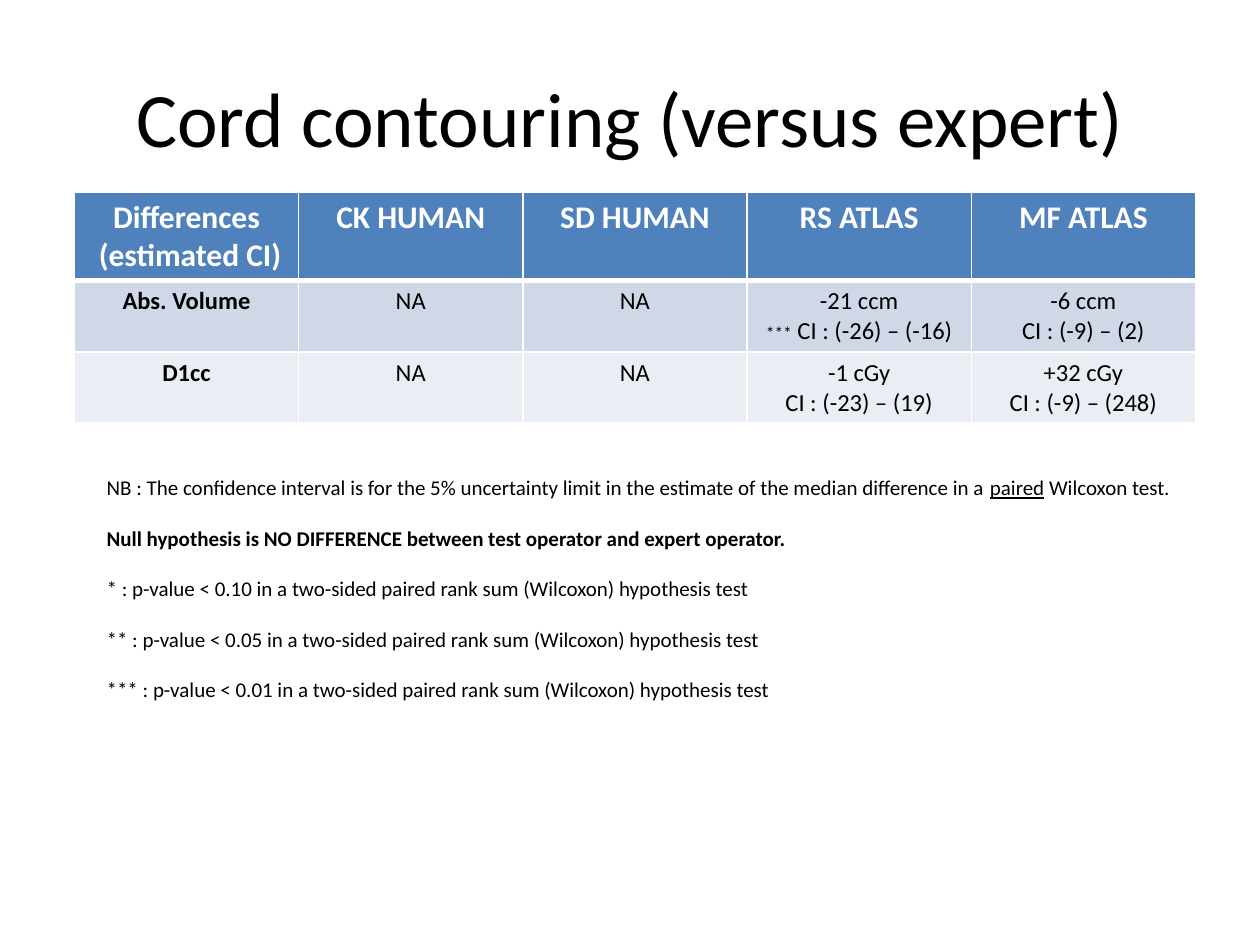
from dataclasses import dataclass

from lxml.etree import SubElement
from pptx import Presentation
from pptx.dml.color import RGBColor
from pptx.enum.text import MSO_ANCHOR, PP_ALIGN
from pptx.oxml.ns import qn
from pptx.util import Cm, Pt

COLORS = {
    "text": "000000",
    "white": "FFFFFF",
    "header": "4F81BD",
    "odd_row": "D0D8E8",
    "even_row": "E9EDF4",
}
FONT = "Calibri"


@dataclass(frozen=True)
class Run:
    text: str
    size: float | None = None
    underline: bool = False


@dataclass(frozen=True)
class TableRow:
    cells: tuple
    fill: str
    height: float
    size: float = 14
    color: str = "text"
    header: bool = False


@dataclass(frozen=True)
class Note:
    runs: tuple
    bold: bool = False


def write_paragraph(paragraph, text, *, size, color="text", bold=False,
                    align=PP_ALIGN.LEFT, space_after=0) -> None:
    paragraph.alignment = align
    paragraph.space_after = Pt(space_after)
    runs = (Run(text),) if isinstance(text, str) else text
    for item in runs:
        run = paragraph.add_run()
        run.text = item.text
        run.font.name = FONT
        run.font.size = Pt(item.size or size)
        run.font.bold = bold
        run.font.underline = item.underline
        run.font.color.rgb = RGBColor.from_string(COLORS[color])


def write_lines(text_frame, lines, **text_format) -> None:
    for index, line in enumerate(lines):
        paragraph = text_frame.add_paragraph() if index else text_frame.paragraphs[0]
        write_paragraph(paragraph, line, **text_format)


def add_text_box(slide, left: float, top: float, width: float, height: float):
    shape = slide.shapes.add_textbox(Cm(left), Cm(top), Cm(width), Cm(height))
    shape.text_frame.word_wrap = True
    return shape.text_frame


def set_borders(cell, widths: dict[str, float]) -> None:
    properties = cell._tc.get_or_add_tcPr()
    for position, (side, width) in enumerate(widths.items()):
        line = properties.makeelement(qn(f"a:{side}"), {"w": str(Pt(width))})
        fill = SubElement(line, qn("a:solidFill"))
        SubElement(fill, qn("a:srgbClr"), val=COLORS["white"])
        properties.insert(position, line)


def add_table(slide, rows: tuple[TableRow, ...]) -> None:
    column_count = len(rows[0].cells)
    table = slide.shapes.add_table(
        len(rows), column_count, Cm(1.5), Cm(3.87), Cm(22.6),
        Cm(sum(row.height for row in rows)),
    ).table
    for row_index, row in enumerate(rows):
        table.rows[row_index].height = Cm(row.height)
        top = 3 if row_index == 1 else 1
        bottom = 3 if row.header else 1
        for column_index, lines in enumerate(row.cells):
            cell = table.cell(row_index, column_index)
            cell.fill.solid()
            cell.fill.fore_color.rgb = RGBColor.from_string(COLORS[row.fill])
            set_borders(cell, {"lnL": 1, "lnR": 1, "lnT": top, "lnB": bottom})
            write_lines(cell.text_frame, lines, size=row.size, color=row.color,
                        bold=row.header or column_index == 0,
                        align=PP_ALIGN.CENTER)


TABLE_ROWS = (
    TableRow((("Differences", " (estimated CI)"), ("CK HUMAN",), ("SD HUMAN",),
              ("RS ATLAS",), ("MF ATLAS",)),
             "header", 1.78, size=18, color="white", header=True),
    TableRow((("Abs. Volume",), ("NA",), ("NA",),
              ("-21 ccm", (Run("***", size=10), Run(" CI : (-26) – (-16)"))),
              ("-6 ccm", "CI : (-9) – (2)")), "odd_row", 1.44),
    TableRow((("D1cc",), ("NA",), ("NA",), ("-1 cGy", "CI : (-23) – (19)"),
              ("+32 cGy", "CI : (-9) – (248)")), "even_row", 1.44),
)

SIGNIFICANCE_LEVELS = {"*": "0.10", "**": "0.05", "***": "0.01"}

NOTES = (
    Note((Run("NB : The confidence interval is for the 5% uncertainty limit "
              "in the estimate of the median difference in a "),
          Run("paired", underline=True), Run(" Wilcoxon test."))),
    Note((Run("Null hypothesis is NO DIFFERENCE between test operator "
              "and expert operator."),), bold=True),
    *(Note((Run(f"{stars} : p-value < {level} in a two-sided paired rank sum "
                "(Wilcoxon) hypothesis test"),))
      for stars, level in SIGNIFICANCE_LEVELS.items()),
)


def main() -> None:
    presentation = Presentation()
    presentation.slide_width = Cm(25.4)
    presentation.slide_height = Cm(19.05)
    slide = presentation.slides.add_slide(presentation.slide_layouts[6])

    title = add_text_box(slide, 1.27, 0.76, 22.86, 3.18)
    title.vertical_anchor = MSO_ANCHOR.MIDDLE
    write_lines(title, ("Cord contouring (versus expert)",), size=44,
                align=PP_ALIGN.CENTER)

    add_table(slide, TABLE_ROWS)

    notes = add_text_box(slide, 1.9, 9.45, 22.6, 4.88)
    for index, note in enumerate(NOTES):
        paragraph = notes.add_paragraph() if index else notes.paragraphs[0]
        write_paragraph(paragraph, note.runs, size=12, bold=note.bold,
                        space_after=14.4 if index < len(NOTES) - 1 else 0)

    presentation.save("out.pptx")


main()
